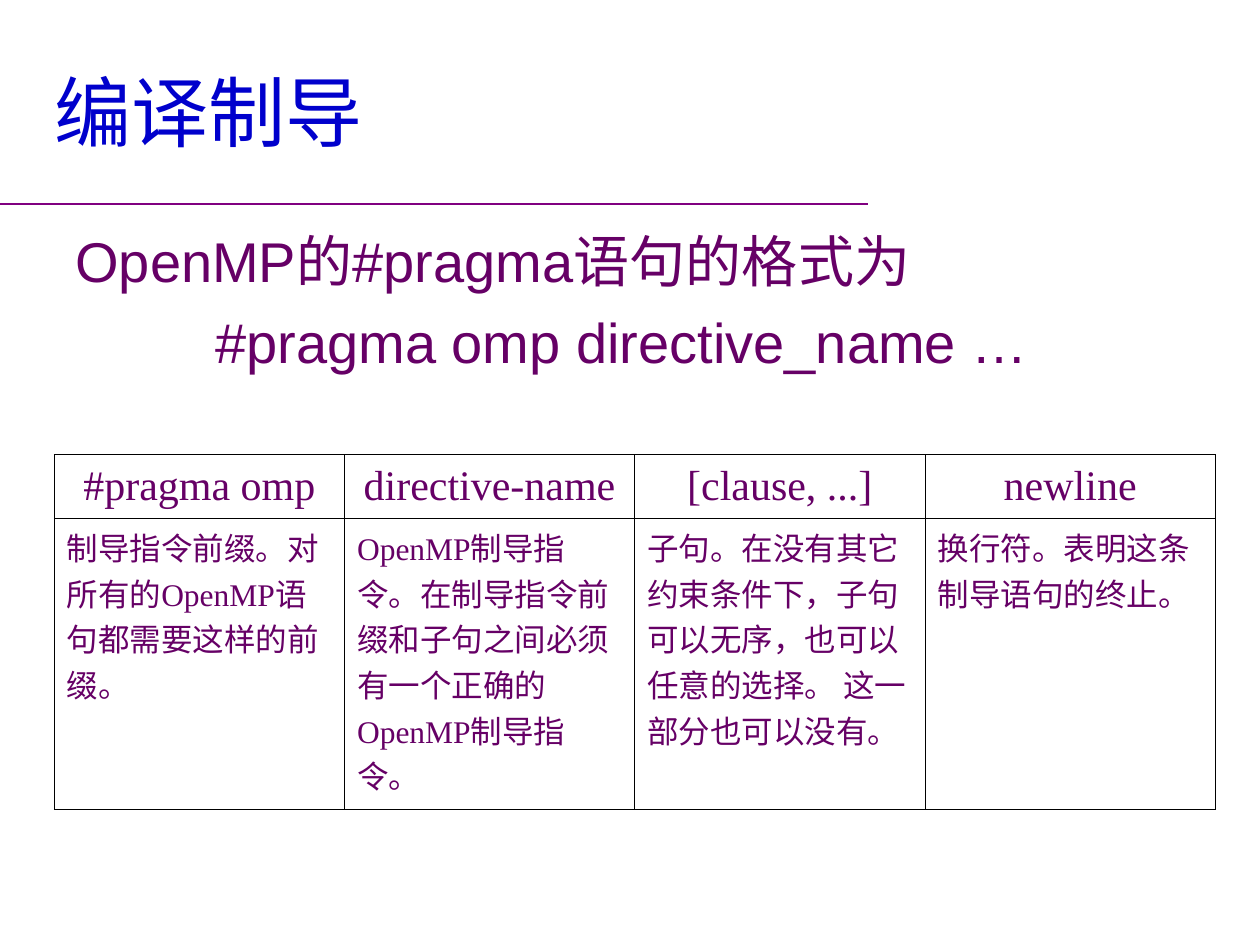
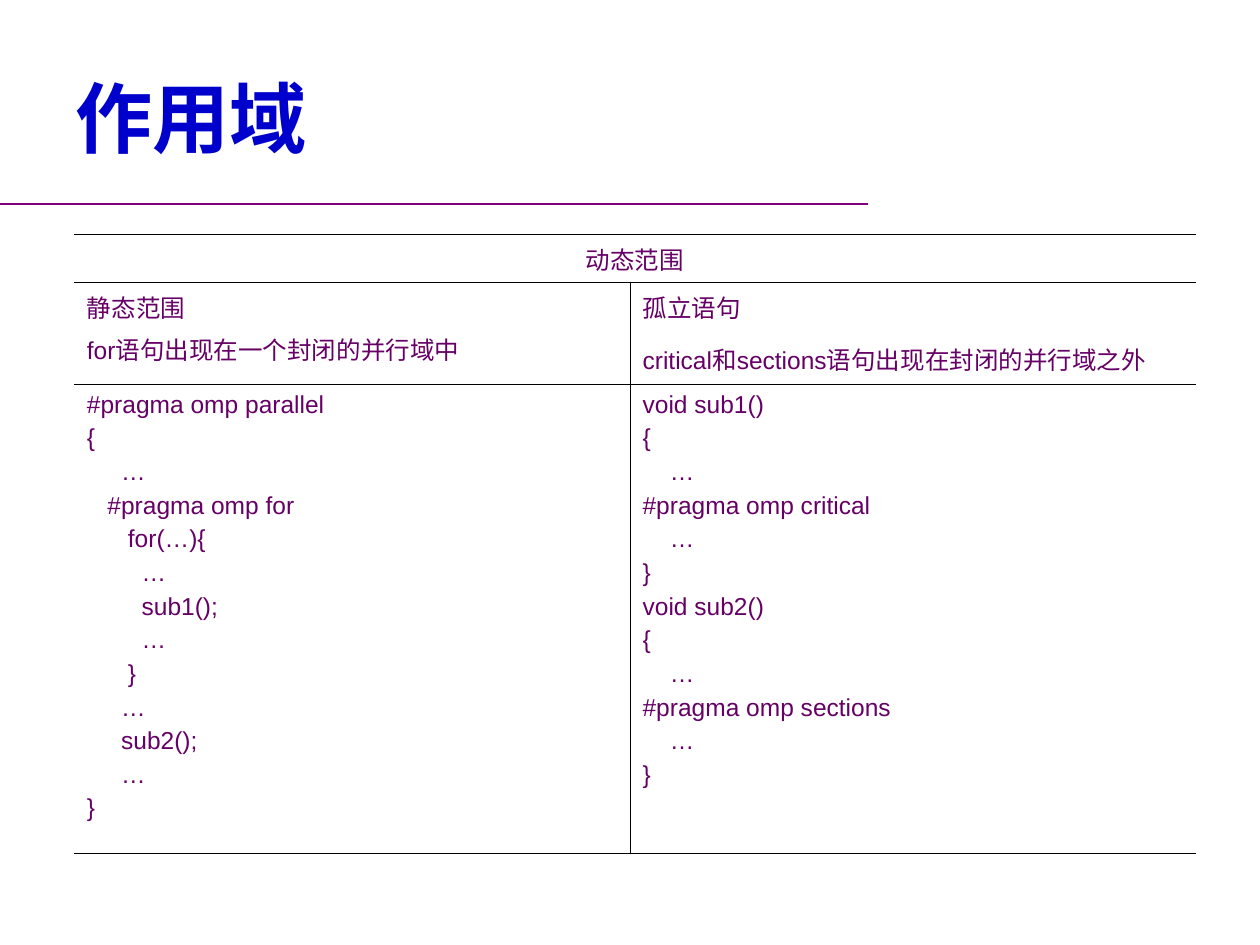
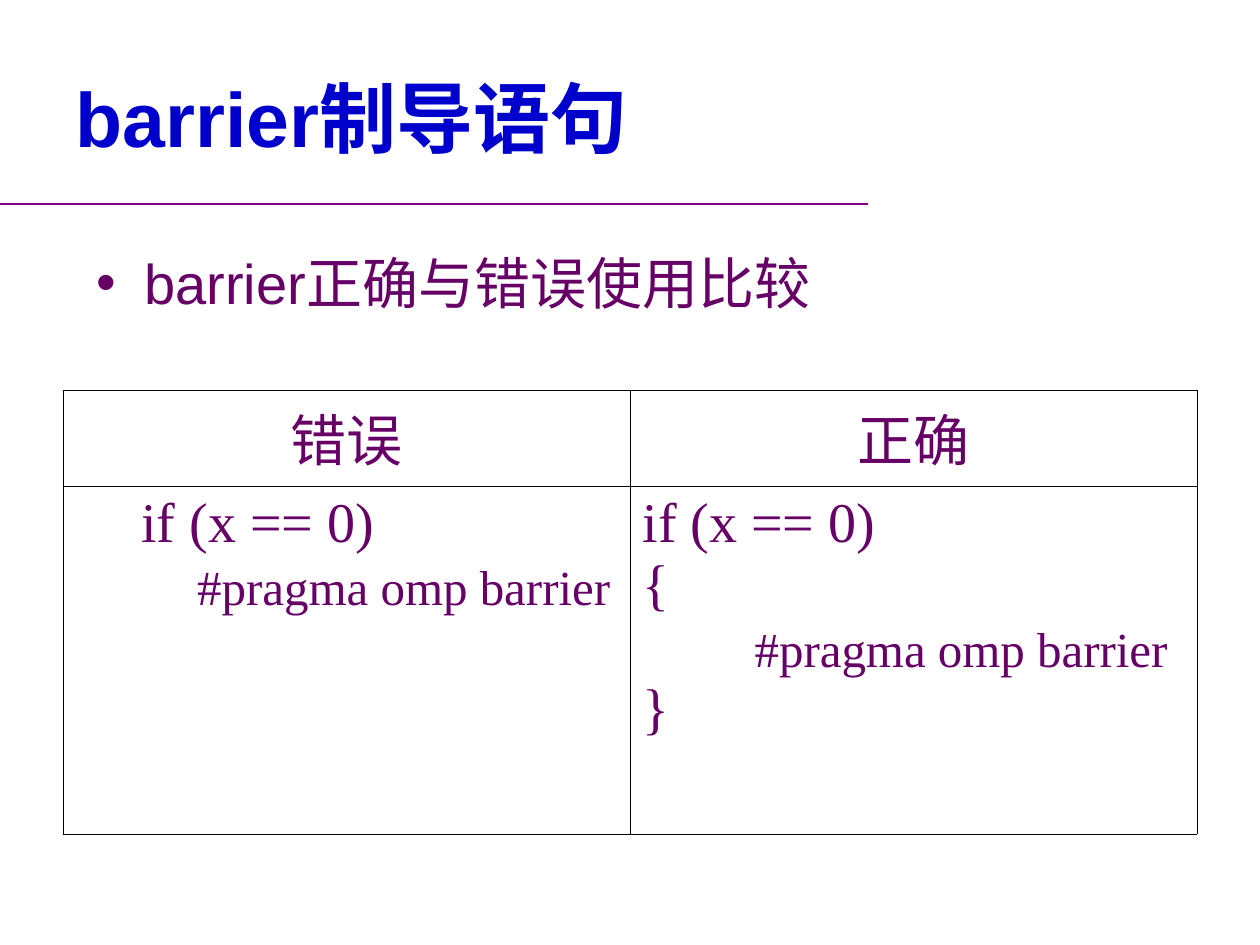
from dataclasses import dataclass, replace

from lxml import etree
from pptx import Presentation
from pptx import util as u
from pptx.dml.color import RGBColor
from pptx.enum import shapes, text
from pptx.oxml import ns

BLUE = RGBColor(0x00, 0x00, 0xCC)
PURPLE = RGBColor(0x66, 0x00, 0x66)
RULE = RGBColor(0x80, 0x00, 0x80)
BLACK = RGBColor(0x00, 0x00, 0x00)
SANS, SERIF = "Arial", "Times New Roman"
COLS, ROWS = 100, 75
UNIT = u.Inches(0.1)
THIN, THICK = 0.45, 1.08
HANG = 27


@dataclass
class Style:
    """Look shared by the paragraphs of a block, with lengths in points."""
    size: float
    font: str = SANS
    color: RGBColor = PURPLE
    bold: bool = False
    align: text.PP_ALIGN = text.PP_ALIGN.LEFT
    before: float = 0
    bullet: str = ""


@dataclass
class Line:
    """One paragraph, with its indent and own overrides in points."""
    text: str
    indent: float = 0
    size: float = 0
    before: float = 0


def grid(*cells):
    """Turn grid columns and rows into lengths."""
    return [round(cell * UNIT) for cell in cells]


def plain(*texts):
    """Make unindented lines."""
    return [Line(t) for t in texts]


def code(source, step):
    """Make one line per source row, turning leading blanks into an indent."""
    rows = source.strip("\n").split("\n")
    return [Line(row.strip(), (len(row) - len(row.lstrip())) * step) for row in rows]


def add_bullet(p, char):
    """Give a paragraph a hanging bullet."""
    pPr = p._p.get_or_add_pPr()
    pPr.set("marL", str(u.Pt(HANG)))
    pPr.set("indent", str(-u.Pt(HANG)))
    etree.SubElement(pPr, ns.qn("a:buFont")).set("typeface", SANS)
    etree.SubElement(pPr, ns.qn("a:buChar")).set("char", char)


def write(tf, lines, style):
    """Fill a text frame with styled lines."""
    for i, line in enumerate(lines):
        p = tf.add_paragraph() if i else tf.paragraphs[0]
        p.alignment = style.align
        p.space_before = u.Pt(line.before or style.before)
        if line.indent:
            p._p.get_or_add_pPr().set("marL", str(u.Pt(line.indent)))
        if style.bullet:
            add_bullet(p, style.bullet)
        r = p.add_run()
        r.text = line.text
        r.font.size = u.Pt(line.size or style.size)
        r.font.name = style.font
        r.font.bold = style.bold
        r.font.color.rgb = style.color


def add_slide(prs, title, box, bold=True):
    """Add a slide with its title and the rule below it."""
    s = prs.slides.add_slide(prs.slide_layouts[5])
    rule = s.shapes.add_connector(shapes.MSO_CONNECTOR.STRAIGHT, *grid(0, 16.2, 68.9, 16.2))
    rule.line.color.rgb = RULE
    rule.line.width = u.Pt(1)
    etree.SubElement(rule._element.spPr, ns.qn("a:effectLst"))
    sp = s.shapes.title
    sp.left, sp.top, sp.width, sp.height = grid(*box)
    tf = sp.text_frame
    tf.auto_size = text.MSO_AUTO_SIZE.NONE
    tf.vertical_anchor = text.MSO_ANCHOR.MIDDLE
    write(tf, plain(title), Style(44, color=BLUE, bold=bold))
    return s


def add_body(s, box, lines, style):
    """Add a wrapping text box."""
    tf = s.shapes.add_textbox(*grid(*box)).text_frame
    tf.word_wrap = True
    write(tf, lines, style)


def set_borders(cell, widths):
    """Draw left, right, top and bottom cell borders; zero hides one."""
    tcPr = cell._tc.get_or_add_tcPr()
    for i, (side, width) in enumerate(zip("LRTB", widths)):
        ln = etree.Element(ns.qn(f"a:ln{side}"), w=str(u.Pt(width)))
        if width:
            fill = etree.SubElement(ln, ns.qn("a:solidFill"))
            etree.SubElement(fill, ns.qn("a:srgbClr")).set("val", str(BLACK))
        else:
            etree.SubElement(ln, ns.qn("a:noFill"))
        tcPr.insert(i, ln)


def add_grid_table(s, at, cols, rows, sides=THIN, ends=THIN, merge_top=False):
    """Add an unfilled ruled table with the given outer border widths."""
    size = (sum(cols), sum(rows))
    table = s.shapes.add_table(len(rows), len(cols), *grid(*at, *size)).table
    table.first_row = table.horz_banding = False
    for col, width in zip(table.columns, grid(*cols)):
        col.width = width
    for row, height in zip(table.rows, grid(*rows)):
        row.height = height
    if merge_top:
        table.cell(0, 0).merge(table.cell(0, len(cols) - 1))
    for y in range(len(rows)):
        for x in range(len(cols)):
            cell = table.cell(y, x)
            merged = cell.is_merge_origin or cell.is_spanned
            cell.fill.background()
            set_borders(cell, (
                sides if x == 0 or merged else THIN,
                sides if x == len(cols) - 1 or merged else THIN,
                ends if y == 0 else THIN,
                ends if y == len(rows) - 1 else THIN))
    return table


def fill_row(table, y, cells, style, anchor=text.MSO_ANCHOR.TOP):
    """Write one table row, a list of lines per cell."""
    for x, lines in enumerate(cells):
        cell = table.cell(y, x)
        cell.vertical_anchor = anchor
        write(cell.text_frame, lines, style)


def directive_slide(prs):
    """Build the slide on the format of directives."""
    s = add_slide(prs, "编译制导", (3.3, 2.5, 93.4, 12.5), bold=False)
    add_body(s, (5, 17.5, 93, 49.5),
             [Line("OpenMP的#pragma语句的格式为"),
              Line("#pragma omp directive_name …", indent=80)],
             Style(32, before=8))
    table = add_grid_table(s, (4.3, 36.1), [23.04] * 4, [5, 23.1])
    head = Style(24, SERIF, align=text.PP_ALIGN.CENTER)
    names = ["#pragma omp", "directive-name", "[clause, ...]", "newline"]
    fill_row(table, 0, [plain(n) for n in names], head, text.MSO_ANCHOR.MIDDLE)
    fill_row(table, 1, [
        plain("制导指令前缀。对", "所有的OpenMP语", "句都需要这样的前", "缀。"),
        plain("OpenMP制导指", "令。在制导指令前", "缀和子句之间必须",
              "有一个正确的", "OpenMP制导指", "令。"),
        plain("子句。在没有其它", "约束条件下，子句", "可以无序，也可以",
              "任意的选择。 这一", "部分也可以没有。"),
        plain("换行符。表明这条", "制导语句的终止。"),
    ], Style(18, SERIF))


PARALLEL = """
#pragma omp parallel
{
     …
   #pragma omp for
      for(…){
        …
        sub1();
        …
      }
     …
     sub2();
     …
}
"""

ORPHANS = """
void sub1()
{
    …
#pragma omp critical
    …
}
void sub2()
{
    …
#pragma omp sections
    …
}
"""


def scope_slide(prs):
    """Build the slide on static and dynamic scope."""
    s = add_slide(prs, "作用域", (5, 3, 90, 12.5))
    table = add_grid_table(s, (5.9, 18.6), [44.1, 44.9], [3.8, 8.1, 37.2],
                           sides=0, ends=THICK, merge_top=True)
    body = Style(14, before=3.5)
    fill_row(table, 0, [plain("动态范围")], replace(body, align=text.PP_ALIGN.CENTER))
    fill_row(table, 1, [
        plain("静态范围", "for语句出现在一个封闭的并行域中"),
        [Line("孤立语句"),
         Line("critical和sections语句出现在封闭的并行域之外", before=9.2)],
    ], body)
    fill_row(table, 2, [code(PARALLEL, 3.9), code(ORPHANS, 3.9)], body)


def barrier_slide(prs):
    """Build the slide comparing wrong and right barriers."""
    s = add_slide(prs, "barrier制导语句", (5, 3, 90, 12.5))
    table = add_grid_table(s, (5, 31), [45, 45], [7.6, 27.6])
    body = Style(32, SERIF)
    fill_row(table, 0, [plain("错误"), plain("正确")],
             replace(body, align=text.PP_ALIGN.CENTER))
    test, pragma = "if (x == 0)", "#pragma omp barrier"
    fill_row(table, 1, [
        [Line(test, 37.5), Line(pragma, 69.5, 28, 4)],
        [Line(test), Line("{"), Line(pragma, 64, 28, 4), Line("}")],
    ], body)
    add_body(s, (6.7, 19.2, 85.8, 50), plain("barrier正确与错误使用比较"),
             Style(32, before=8, bullet="•"))


def main():
    """Build and save the presentation."""
    prs = Presentation()
    prs.slide_width, prs.slide_height = grid(COLS, ROWS)
    for build in (directive_slide, scope_slide, barrier_slide):
        build(prs)
    prs.save("out.pptx")


if __name__ == "__main__":
    main()
